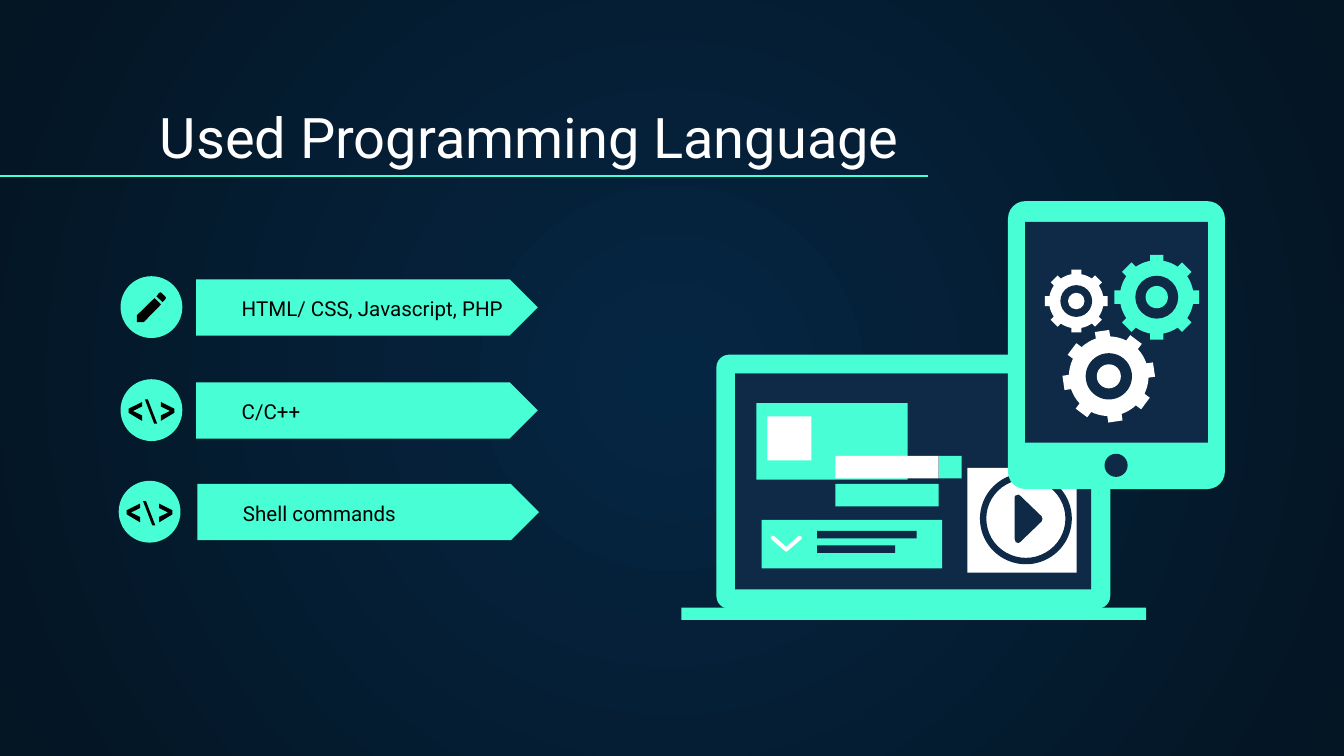
from math import cos, sin, asin, radians
from lxml.etree import SubElement
from pptx import Presentation
from pptx.dml.color import RGBColor
from pptx.enum.shapes import MSO_CONNECTOR, MSO_SHAPE
from pptx.enum.text import MSO_ANCHOR, MSO_AUTO_SIZE, PP_ALIGN
from pptx.oxml.ns import qn
from pptx.util import Pt

THEME = {
    "mint": "48FFD5", "navy": "0E2A47", "white": "FFFFFF", "black": "000000",
    "glow": "052643", "edge": "041523",
    "font": "Roboto", "title": 30, "label": 11, "line": 0.75,
}
RECT, ROUND = MSO_SHAPE.RECTANGLE, MSO_SHAPE.ROUNDED_RECTANGLE
OVAL, RING, PLATE = MSO_SHAPE.OVAL, MSO_SHAPE.DONUT, MSO_SHAPE.PENTAGON

# Content: label, icon, plate top, disc left, plate left
TITLE = "Used Programming Language"
ROWS = [
    ("HTML/ CSS, Javascript, PHP", "pencil", 149.7, 64.6, 105.1),
    ("C/C++", "code", 204.9, 64.6, 105.1),
    ("Shell commands", "code", 259.3, 63.6, 105.8),
]
DISC = 33.1

# Icon outlines, measured from the disc's corner
ANGLE = [(11.5, 22.3), (4.3, 18), (4.3, 15.8), (11.5, 12.2),
         (11.5, 14.6), (6.6, 17), (11.5, 19.4)]
SLASH = [(18, 23.8), (13, 10.8), (14.6, 10.8), (19.6, 23.8)]
BODY = [(18.2, 11.7), (8.8, 20.9), (8.8, 24.6), (12.4, 24.6), (21.7, 15.1)]
CAP = [(21.6, 8.6), (20.7, 8.9), (19.2, 10.8), (22.5, 13.9),
       (24, 12.4), (24.3, 11.5), (23.8, 10.7)]
ICONS = {
    "pencil": [[BODY, CAP]],
    "code": [[ANGLE], [SLASH], [[(DISC - x, y) for x, y in ANGLE]]],
}

# Devices: kind, left, top, width, height, colour, adjustment
LAPTOP = [
    (ROUND, 383.8, 190, 211, 136.1, "mint", 0.05),
    (RECT, 393.8, 200.2, 190.8, 115.6, "navy", None),
    (RECT, 365, 325.6, 249.1, 6.5, "mint", None),
    (RECT, 393.8, 200.2, 190.8, 10.8, "navy", None),
    (RECT, 405.2, 216, 81, 41, "mint", None),
    (RECT, 411.1, 223, 23.6, 23.6, "white", None),
    (RECT, 433.4, 278.6, 71.3, 25.9, "mint", None),
    (RECT, 437.8, 284.4, 53.3, 4, "navy", None),
    (RECT, 437.8, 292.2, 41.8, 4, "navy", None),
    (RECT, 408, 278.6, 25.4, 25.9, "mint", None),
    (RECT, 447.5, 259.2, 55.4, 12.2, "mint", None),
    (RECT, 447.5, 244.2, 55.4, 12.2, "white", None),
    (RECT, 503, 244.2, 12.2, 12.2, "mint", None),
    (RECT, 518.2, 250.6, 58.6, 56.2, "white", None),
    (RING, 525, 253.4, 49.2, 48.9, "navy", 0.07),
]
CHECK = [(428.6, 287), (427.7, 287.2), (421.2, 293), (414.7, 287.2),
         (413.8, 287), (412.8, 288), (413.3, 289), (420.5, 295.2),
         (421.2, 295.6), (421.9, 295.2), (429.1, 289), (429.6, 288)]
PLAY = [(545.6, 265), (543.9, 265.6), (543.6, 266.4), (543.6, 288.8),
        (544.2, 290.5), (545.6, 290.9), (546.6, 290.4), (558, 279.4),
        (558.5, 278), (558, 276.6), (546.6, 265.6)]
TABLET = [
    (ROUND, 540, 107.8, 116.2, 154.2, "mint", 0.08),
    (RECT, 549.2, 118.8, 97.9, 118.4, "navy", None),
    (OVAL, 591.7, 243.1, 12.4, 12.4, "navy", None),
]
# Gears: centre x, centre y, radius, turn in degrees, colour
GEARS = [
    (619.7, 159.2, 23, 0, "mint"),
    (576.6, 161.3, 17, 0, "white"),
    (594, 201.6, 24.8, -8.4, "white"),
]
TEETH, TOOTH, ROOT, HOLE, HUB = 8, 0.156, 0.86, 0.5, 0.26

deck = Presentation()
deck.slide_width, deck.slide_height = Pt(720), Pt(405)
slide = deck.slides.add_slide(deck.slide_layouts[5])
shapes = slide.shapes


def tint(name):
    return RGBColor.from_string(THEME[name])


def paint(shape, color):
    shape.shadow.inherit = False
    shape.fill.solid()
    shape.fill.fore_color.rgb = tint(color)
    shape.line.fill.background()
    return shape


def add(kind, x, y, w, h, color, adj=None):
    shape = paint(shapes.add_shape(kind, Pt(x), Pt(y), Pt(w), Pt(h)), color)
    if adj is not None:
        shape.adjustments[0] = adj
    return shape


def trace(loops, color, dx=0, dy=0):
    loops = [[(Pt(x + dx), Pt(y + dy)) for x, y in loop] for loop in loops]
    pen = shapes.build_freeform(*loops[0][0])
    pen.add_line_segments(loops[0][1:])
    for loop in loops[1:]:
        pen.move_to(*loop[0])
        pen.add_line_segments(loop[1:])
    return paint(pen.convert_to_shape(), color)


def write(box, text, size, color):
    frame = box.text_frame
    frame.text = text
    frame.word_wrap = True
    frame.auto_size = MSO_AUTO_SIZE.NONE
    frame.vertical_anchor = MSO_ANCHOR.BOTTOM
    frame.margin_left = frame.margin_right = Pt(7.2)
    frame.margin_top = frame.margin_bottom = Pt(7.2)
    frame.paragraphs[0].alignment = PP_ALIGN.LEFT
    font = frame.paragraphs[0].runs[0].font
    font.name, font.size = THEME["font"], Pt(THEME[size])
    font.color.rgb = tint(color)


def gear(x, y, r, turn, color):
    def spot(dist, ang):
        return x + dist * sin(ang), y - dist * cos(ang)

    step = radians(360 / TEETH)
    tip, foot = asin(TOOTH), asin(TOOTH / ROOT)
    rim = []
    for i in range(TEETH):
        mid = radians(turn) + i * step
        rim += [spot(ROOT * r, mid - foot), spot(r, mid - tip),
                spot(r, mid + tip)]
        gap = step - 2 * foot
        rim += [spot(ROOT * r, mid + foot + gap * j / 4) for j in range(4)]
    trace([rim], color)
    for part, shade in ((HOLE, "navy"), (HUB, color)):
        d = part * r
        add(OVAL, x - d, y - d, 2 * d, 2 * d, shade)


# Background: glow from the centre
fill = slide.background.fill
fill.gradient()
for stop, name in zip(fill.gradient_stops, ("glow", "edge")):
    stop.color.rgb = tint(name)
grad = slide.element.find(".//" + qn("a:gradFill"))
lin = grad.find(qn("a:lin"))
ray = SubElement(grad, qn("a:path"), {"path": "circle"})
SubElement(ray, qn("a:fillToRect"), dict.fromkeys("ltrb", "50000"))
grad.replace(lin, ray)

# Title and rule
head = shapes.title
head.left, head.top, head.width, head.height = Pt(78.5), Pt(50.4), Pt(617), Pt(47.5)
write(head, TITLE, "title", "white")
rule = shapes.add_connector(MSO_CONNECTOR.STRAIGHT, 0, Pt(94.3), Pt(497.4), Pt(94.3))
rule.line.color.rgb, rule.line.width = tint("mint"), Pt(THEME["line"])
SubElement(rule.element.spPr, qn("a:effectLst"))

# Language rows
for label, icon, top, left, start in ROWS:
    add(PLATE, start, top, 183, 30.1, "mint", 0.5)
    add(OVAL, left, top - 1.7, DISC, DISC, "mint")
    for loops in ICONS[icon]:
        trace(loops, "black", left, top - 1.7)
    box = shapes.add_textbox(Pt(start + 17.3), Pt(top + 14.4), Pt(163.4), Pt(15.1))
    write(box, label, "label", "black")

# Laptop, then the tablet in front
for part in LAPTOP:
    add(*part)
trace([CHECK], "white")
trace([PLAY], "navy")
for part in TABLET:
    add(*part)
for wheel in GEARS:
    gear(*wheel)

deck.save("out.pptx")
